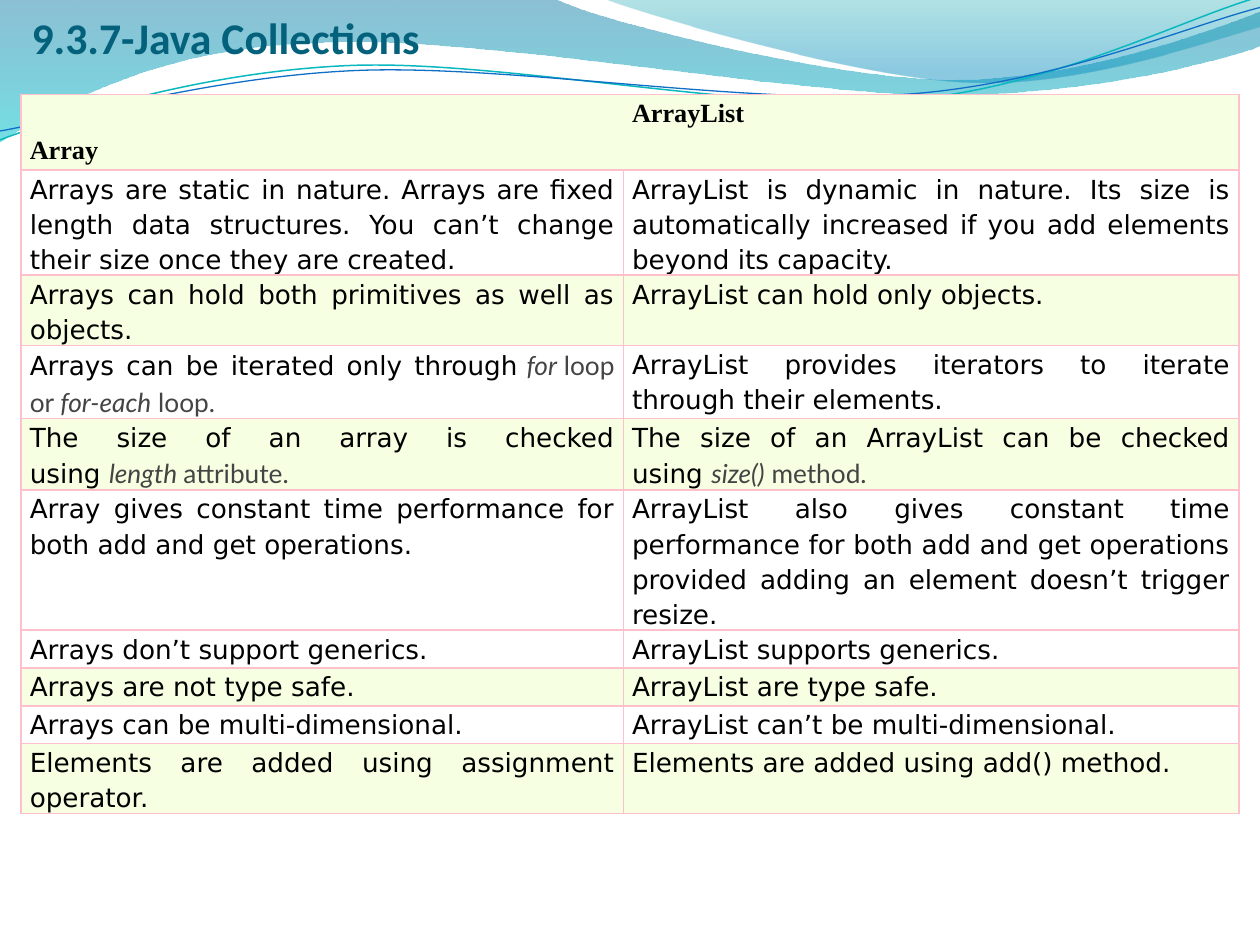
import math

from lxml import etree
from pptx import Presentation
from pptx import util as u
from pptx.dml.color import RGBColor
from pptx.enum import text as t
from pptx.oxml.ns import qn

TEAL = RGBColor(0x04, 0x61, 0x7B)
BLACK = RGBColor(0, 0, 0)
GRAY = RGBColor(0x44, 0x44, 0x44)
WHITE = RGBColor(0xFF, 0xFF, 0xFF)
LIME = RGBColor(0xF6, 0xFF, 0xE1)
PINK = RGBColor(0xFF, 0xC0, 0xCB)
DEEP = RGBColor(0x00, 0x74, 0xA1)
CYAN = RGBColor(0x00, 0xC6, 0xCF)
SEA = RGBColor(0x00, 0xA1, 0xA9)
SKY = RGBColor(0x00, 0x8B, 0xBF)
AQUA = RGBColor(0x0A, 0xB8, 0xBF)
BLUE = RGBColor(0x0F, 0x6F, 0xC6)

BANDS = [
    ([(0, 0), (4.4, -0.01),
      (4.76, 0.17, 6.64, 0.63, 7.58, 0.63), (8.53, 0.63, 9.58, 0.26, 10, 0.09),
      (10.01, 0.36),
      (9.83, 0.44, 8.7, 0.76, 7.46, 0.75), (6.22, 0.75, 3.82, 0.28, 2.57, 0.34),
      (1.29, 0.36, 0.46, 0.83, -0.01, 1.13), (0, 0)],
     [(0, DEEP, 45), (1, CYAN, 55)]),
    ([(4.79, -0.01),
      (5.09, 0.11, 6.82, 0.62, 7.69, 0.65), (8.56, 0.69, 9.61, 0.32, 10, 0.21),
      (10, 0), (4.79, -0.01)],
     [(0, SEA, 30), (0.8, SKY, 45)]),
]
LINES = [
    ([(0, 1.11), (0.48, 0.93, 1.58, 0.57, 2.77, 0.52),
      (3.95, 0.47, 5.93, 0.89, 7.13, 0.8), (8.33, 0.71, 9.38, 0.15, 9.98, -0.02)],
     (4.99, 0.58), AQUA, 0.85),
    ([(0, 1.04), (0.47, 0.96, 1.64, 0.61, 2.83, 0.56),
      (4.03, 0.51, 5.97, 0.84, 7.17, 0.75), (8.36, 0.67, 9.41, 0.21, 10, 0.06)],
     (5, 0.59), BLUE, 0.75),
]
TILT = 2.7

HEADS = ["\vArray", "ArrayList"]
ROWS = [
    ("Arrays are static in nature. Arrays are fixed length data structures. "
     "You can’t change their size once they are created.",
     "ArrayList is dynamic in nature. Its size is automatically increased "
     "if you add elements beyond its capacity."),
    ("Arrays can hold both primitives as well as objects.",
     "ArrayList can hold only objects."),
    ("Arrays can be iterated only through~*for*~loop or~*for-each*~loop.",
     "ArrayList provides iterators to iterate through their elements."),
    ("The size of an array is checked using~*length~*attribute.",
     "The size of an ArrayList can be checked using~*size()*~method."),
    ("Array gives constant time performance for both add and get operations.",
     "ArrayList also gives constant time performance for both add and get "
     "operations provided adding an element doesn’t trigger resize."),
    ("Arrays don’t support generics.", "ArrayList supports generics."),
    ("Arrays are not type safe.", "ArrayList are type safe."),
    ("Arrays can be multi-dimensional.", "ArrayList can’t be multi-dimensional."),
    ("Elements are added using assignment operator.",
     "Elements are added using add() method."),
]
HARD = chr(160)
TINTED = {0, 2, 4, 7, 9}
EDGE = 1 / 6
WIDTHS = [4.78, 10 - 2 * EDGE - 4.78]
HEIGHTS = [0.6, 0.79, 0.42, 0.46, 0.46, 0.79, 0.3, 0.3, 0.3, 0.4]


def turn(seg, mid):
    cos, sin = math.cos(math.radians(TILT)), math.sin(math.radians(TILT))
    out = []
    for x, y in zip(seg[::2], seg[1::2]):
        dx, dy = x - mid[0], y - mid[1]
        out += [mid[0] + dx * cos - dy * sin, mid[1] + dx * sin + dy * cos]
    return out


def add_curve(slide, box, segs, close):
    pts = [(u.Inches(box[0] + x), u.Inches(box[1] + y))
           for seg in segs for x, y in zip(seg[::2], seg[1::2])]
    pen = slide.shapes.build_freeform(*pts[0])
    pen.add_line_segments(pts[1:], close=close)
    shape = pen.convert_to_shape()
    shape.shadow.inherit = False
    steps = iter(list(shape.element.iter(qn("a:lnTo"))))
    for seg in segs[1:]:
        first = next(steps)
        if len(seg) == 6:
            first.tag = qn("a:cubicBezTo")
            for _ in range(2):
                step = next(steps)
                first.append(step[0])
                step.getparent().remove(step)
    return shape


def add_waves(slide, box):
    for segs, stops in BANDS:
        band = add_curve(slide, box, segs, True)
        band.line.fill.background()
        band.fill.gradient()
        band.fill.gradient_angle = 270
        for stop, (pos, color, alpha) in zip(band.fill.gradient_stops, stops):
            stop.position = pos
            stop.color.rgb = color
        tones = band.element.spPr.iter(qn("a:srgbClr"))
        for tone, (pos, color, alpha) in zip(tones, stops):
            etree.SubElement(tone, qn("a:alpha"), val=str(alpha * 1000))
    for segs, mid, color, width in LINES:
        line = add_curve(slide, box, [turn(seg, mid) for seg in segs], False)
        line.rotation = 360 - TILT
        line.fill.background()
        line.line.color.rgb = color
        line.line.width = u.Pt(width)


def style(font, name, size, color, bold=False, italic=False):
    font.name = name
    font.size = u.Pt(size)
    font.color.rgb = color
    font.bold = bold
    font.italic = italic


def add_title(slide, box):
    title = slide.shapes.title
    slide.shapes.element.append(title.element)
    title.left, title.top, title.width, title.height = map(u.Inches, box)
    frame = title.text_frame
    frame.text = "9.3.7-Java Collections"
    frame.vertical_anchor = t.MSO_ANCHOR.BOTTOM
    frame.margin_left = frame.margin_right = frame.margin_bottom = 0
    frame.margin_top = u.Inches(0.05)
    para = frame.paragraphs[0]
    para.alignment = t.PP_ALIGN.LEFT
    style(para.runs[0].font, "Calibri", 25, TEAL, bold=True)


def set_edges(cell, bare):
    props = cell._tc.get_or_add_tcPr()
    for i, side in enumerate(("lnL", "lnR", "lnT", "lnB")):
        edge = etree.Element(qn("a:" + side), w=str(u.Pt(1)))
        if side == bare:
            etree.SubElement(edge, qn("a:noFill"))
        else:
            fill = etree.SubElement(edge, qn("a:solidFill"))
            etree.SubElement(fill, qn("a:srgbClr"), val=str(PINK))
        props.insert(i, edge)


def write_head(para, words):
    para.text = words
    for gap in para._p.findall(qn("a:br")):
        etree.SubElement(gap, qn("a:rPr"), sz="1500")
    for run in para.runs:
        style(run.font, "Times New Roman", 15, BLACK, bold=True)


def write_body(para, words):
    para.alignment = t.PP_ALIGN.JUSTIFY
    for i, part in enumerate(words.replace("~", HARD).split("*")):
        run = para.add_run()
        run.text = part
        if i:
            style(run.font, "Lato", 15, GRAY, italic=i % 2 == 1)
        else:
            style(run.font, "DejaVu Sans", 15, BLACK)


def add_grid(slide, box):
    grid = slide.shapes.add_table(len(HEIGHTS), len(WIDTHS),
                                  *map(u.Inches, box)).table
    grid.first_row = grid.horz_banding = False
    for col, width in zip(grid.columns, WIDTHS):
        col.width = u.Inches(width)
    for r, (row, words) in enumerate(zip(grid.rows, [HEADS] + ROWS)):
        row.height = u.Inches(HEIGHTS[r])
        for c, cell in enumerate(row.cells):
            cell.margin_left = cell.margin_right = u.Inches(0.07)
            cell.margin_top = cell.margin_bottom = 0
            cell.fill.solid()
            cell.fill.fore_color.rgb = LIME if r in TINTED else WHITE
            set_edges(cell, ("lnR", "lnL")[c] if r == 0 else None)
            para = cell.text_frame.paragraphs[0]
            para.line_spacing = 1.15
            write = write_body if r else write_head
            write(para, words[c])


def main():
    deck = Presentation()
    deck.slide_width, deck.slide_height = u.Inches(10), u.Inches(7.5)
    slide = deck.slides.add_slide(deck.slide_layouts[5])
    add_waves(slide, (0, 0))
    add_title(slide, (0.25, 0, 9.17, 0.5))
    add_grid(slide, (EDGE, 0.75, sum(WIDTHS), sum(HEIGHTS)))
    deck.save("out.pptx")


if __name__ == "__main__":
    main()
